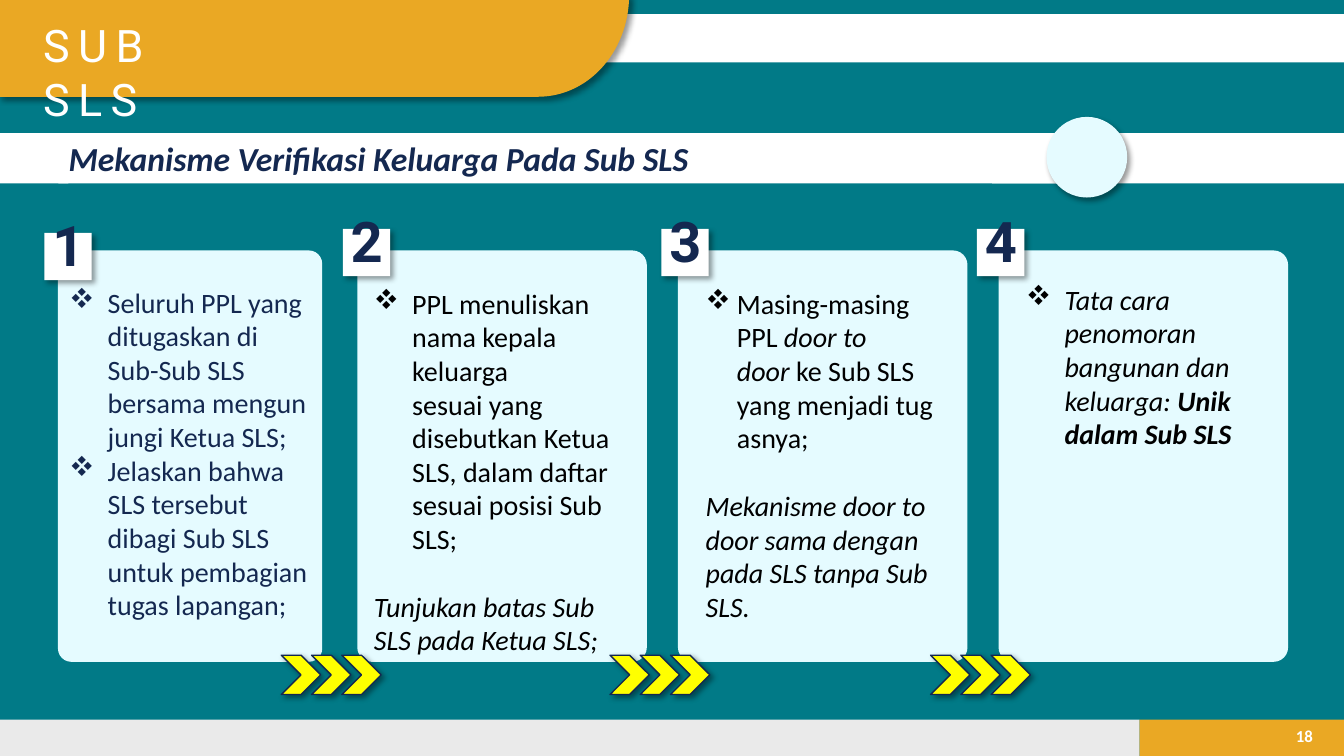
import math

import pptx
import pptx.dml.color
import pptx.enum.shapes
import pptx.enum.text
import pptx.oxml
import pptx.oxml.ns
import pptx.util
from lxml import etree

RGB = pptx.dml.color.RGBColor
SHAPE = pptx.enum.shapes.MSO_SHAPE
ALIGN = pptx.enum.text.PP_ALIGN
ANCHOR = pptx.enum.text.MSO_ANCHOR

TEAL = RGB(0x01, 0x7A, 0x87)
AMBER = RGB(0xEA, 0xA8, 0x24)
GREY = RGB(0xEA, 0xEA, 0xEA)
WHITE = RGB(0xFF, 0xFF, 0xFF)
BLACK = RGB(0, 0, 0)
NAVY = RGB(0x14, 0x28, 0x50)
ICE = RGB(0xE5, 0xFB, 0xFF)
YELLOW = RGB(0xFF, 0xFF, 0)

PX = 9144  # EMU in one px, 100 px to the inch
LINE = 24.4  # height of one line of body text, in points
NBSP = chr(160)  # written as ~ in the body text


def px(*lengths):
    return [pptx.util.Emu(n * PX) for n in lengths]


def sub(parent, tag, **attributes):
    return etree.SubElement(parent, pptx.oxml.ns.qn(tag), attributes)


def write(p, text, size=20, color=BLACK, font="Calibri", bold=False,
          italic=False, spacing=0, outline=None):
    """Add a run; spacing is in points, outline is a line colour."""
    r = p.add_run()
    r.text = text.replace("~", NBSP)
    rpr = r.font._element
    if outline is not None:
        ln = sub(rpr, "a:ln", w="19050")
        sub(sub(ln, "a:solidFill"), "a:srgbClr", val=str(outline))
    if spacing:
        rpr.set("spc", str(spacing * 100))
    r.font.size = pptx.util.Pt(size)
    r.font.name = font
    r.font.bold = bold
    r.font.italic = italic
    r.font.color.rgb = color


class Canvas:
    def __init__(self, slide):
        self.s = slide

    def style(self, sp, fill, line=None, width=1, shadow=False):
        sp.fill.solid()
        sp.fill.fore_color.rgb = fill
        if line is None:
            sp.line.fill.background()
        else:
            sp.line.color.rgb = line
            sp.line.width = pptx.util.Pt(width)
        sp.shadow.inherit = False
        if shadow:
            effects = sp._element.spPr.find(pptx.oxml.ns.qn("a:effectLst"))
            outer = sub(effects, "a:outerShdw", blurRad="50800", dist="38100",
                        dir="2700000", algn="tl", rotWithShape="0")
            sub(sub(outer, "a:srgbClr", val="000000"), "a:alpha", val="40000")

    def shape(self, kind, box, fill, parent=None, **style):
        sp = (parent or self.s).shapes.add_shape(kind, *px(*box))
        self.style(sp, fill, **style)
        return sp

    def rect(self, box, fill, **style):
        return self.shape(SHAPE.RECTANGLE, box, fill, **style)

    def tab(self, left, top, right, bottom, radius, fill):
        """Band whose lower right corner is a quarter ellipse."""
        height = bottom - top
        angles = [math.radians(a) for a in range(0, 91, 3)]
        curve = [((right - radius + radius * math.cos(a)) * PX,
                  (top + height * math.sin(a)) * PX) for a in angles]
        builder = self.s.shapes.build_freeform(left * PX, top * PX)
        builder.add_line_segments(curve + [(left * PX, bottom * PX)],
                                  close=True)
        self.style(builder.convert_to_shape(), fill, shadow=True)

    def textbox(self, box, wrap=True, anchor=ANCHOR.TOP):
        tf = self.s.shapes.add_textbox(*px(*box)).text_frame
        tf.word_wrap = wrap
        tf.vertical_anchor = anchor
        return tf

    def title(self, box, text):
        sp = self.s.shapes.title
        sp.left, sp.top, sp.width, sp.height = px(*box)
        sp.fill.solid()
        sp.fill.fore_color.rgb = WHITE
        tf = sp.text_frame
        tf.auto_size = pptx.enum.text.MSO_AUTO_SIZE.NONE
        tf.vertical_anchor = ANCHOR.MIDDLE
        p = tf.paragraphs[0]
        p.alignment = ALIGN.LEFT
        write(p, text, size=24, color=NAVY, bold=True, italic=True)

    def card(self, left, width):
        sp = self.shape(SHAPE.ROUNDED_RECTANGLE, (left, 250, width, 405), ICE,
                        line=ICE, width=2.25)
        sp.adjustments[0] = 0.045

    def badge(self, number, left, top):
        self.rect((left, top, 47, 47), WHITE, shadow=True)
        tf = self.textbox((left - 2, top - 27, 49, 77), wrap=False)
        write(tf.paragraphs[0], str(number), size=40, color=NAVY,
              font="Roboto", bold=True, outline=WHITE)

    def body(self, box, paragraphs, color):
        """Fill a box from (indent, gap before in lines, runs) entries."""
        tf = self.textbox(box)
        for i, (indent, gap, runs) in enumerate(paragraphs):
            p = tf.add_paragraph() if i else tf.paragraphs[0]
            if indent:
                ppr = p._p.get_or_add_pPr()
                ppr.set("marL", str(indent * PX))
                ppr.set("indent", str(-indent * PX))
                sub(ppr, "a:buFont", typeface="Wingdings", charset="2")
                sub(ppr, "a:buChar", char="v")  # the ❖ of Wingdings
            if gap:
                p.space_before = pptx.util.Pt(gap * LINE)
            for text, look in runs:
                write(p, text, color=color, **look)

    def chevrons(self, left):
        group = self.s.shapes.add_group_shape()
        for i in range(3):
            self.shape(SHAPE.CHEVRON, (left + 30 * i, 650, 39, 39), YELLOW,
                       parent=group, line=NAVY, shadow=True)


PLAIN = {}
ITALIC = {"italic": True}
BOLD_ITALIC = {"italic": True, "bold": True}

# card left and width, badge left and top, text box, text colour, paragraphs
STEPS = [
    ((59, 259), (44, 231), (59, 278, 256, 347), NAVY, [
        (38, 0, [("Seluruh PPL yang ditugaskan di Sub-Sub~SLS "
                  "bersama~mengunjungi Ketua SLS;", PLAIN)]),
        (38, 0, [("Jelaskan bahwa SLS tersebut dibagi Sub SLS untuk "
                  "pembagian tugas lapangan;", PLAIN)])]),
    ((356, 284), (340, 227), (361, 279, 274, 380), BLACK, [
        (38, 0, [("PPL menuliskan nama~kepala keluarga sesuai~yang "
                  "disebutkan Ketua SLS,~dalam~daftar sesuai "
                  "posisi~Sub SLS;", PLAIN)]),
        (0, 1, [("Tunjukan batas Sub SLS pada Ketua SLS;", ITALIC)])]),
    ((674, 284), (656, 227), (690, 279, 258, 347), BLACK, [
        (31, 0, [("Masing-masing PPL~", PLAIN), ("door to door~", ITALIC),
                 ("ke~Sub SLS yang~menjadi~tugasnya;", PLAIN)]),
        (0, 1, [("Mekanisme door to door sama dengan pada SLS tanpa "
                 "Sub SLS.", ITALIC)])]),
    ((992, 284), (969, 227), (1008, 275, 266, 178), BLACK, [
        (38, 0, [("Tata cara penomoran bangunan dan keluarga:~", ITALIC),
                 ("Unik dalam Sub SLS", BOLD_ITALIC)])]),
]


def main():
    prs = pptx.Presentation()
    prs.slide_width, prs.slide_height = px(1333, 750)
    s = prs.slides.add_slide(prs.slide_layouts[5])
    s.background.fill.solid()
    s.background.fill.fore_color.rgb = TEAL
    c = Canvas(s)

    c.rect((1130, 714, 203, 36), AMBER)
    c.rect((-1, 714, 1131, 36), GREY)
    p = c.textbox((1265, 710, 47, 40), anchor=ANCHOR.MIDDLE).paragraphs[0]
    p.alignment = ALIGN.RIGHT
    write(p, "18", size=12, color=WHITE, bold=True)

    c.rect((505, 14, 828, 48), WHITE)
    c.tab(-1, -5, 624, 96, 90, AMBER)
    write(c.textbox((33, 13, 224, 64)).paragraphs[0], "SUB SLS", size=32,
          color=WHITE, font="Roboto", spacing=6)

    c.title((58, 132, 1010, 50), "Mekanisme Verifikasi Keluarga Pada Sub SLS")
    c.rect((984, 132, 350, 50), WHITE)
    c.rect((-2, 132, 70, 50), WHITE)
    c.shape(SHAPE.OVAL, (1038, 116, 80, 80), ICE, shadow=True)

    for number, (card, badge, box, color, paragraphs) in enumerate(STEPS, 1):
        c.card(*card)
        c.badge(number, *badge)
        c.body(box, paragraphs, color)
    for left in (279, 605, 923):
        c.chevrons(left)

    prs.save("out.pptx")


if __name__ == "__main__":
    main()
